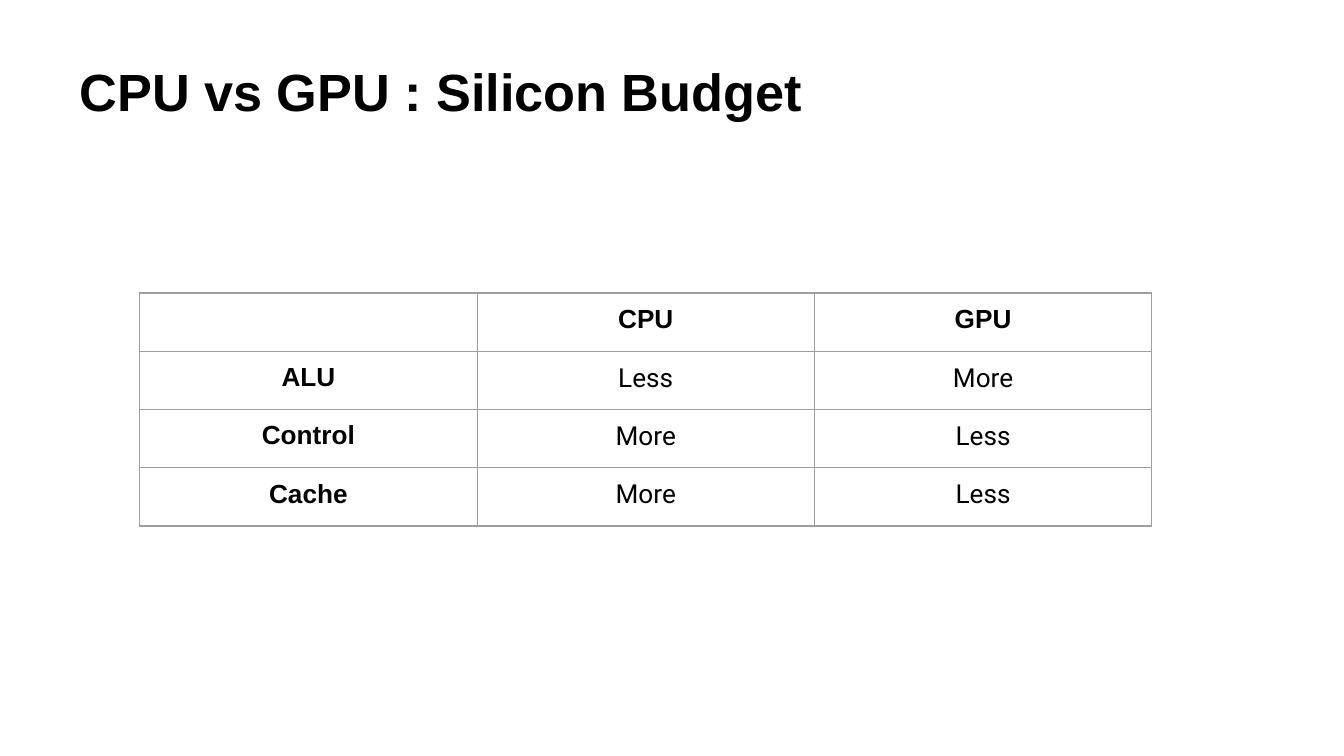
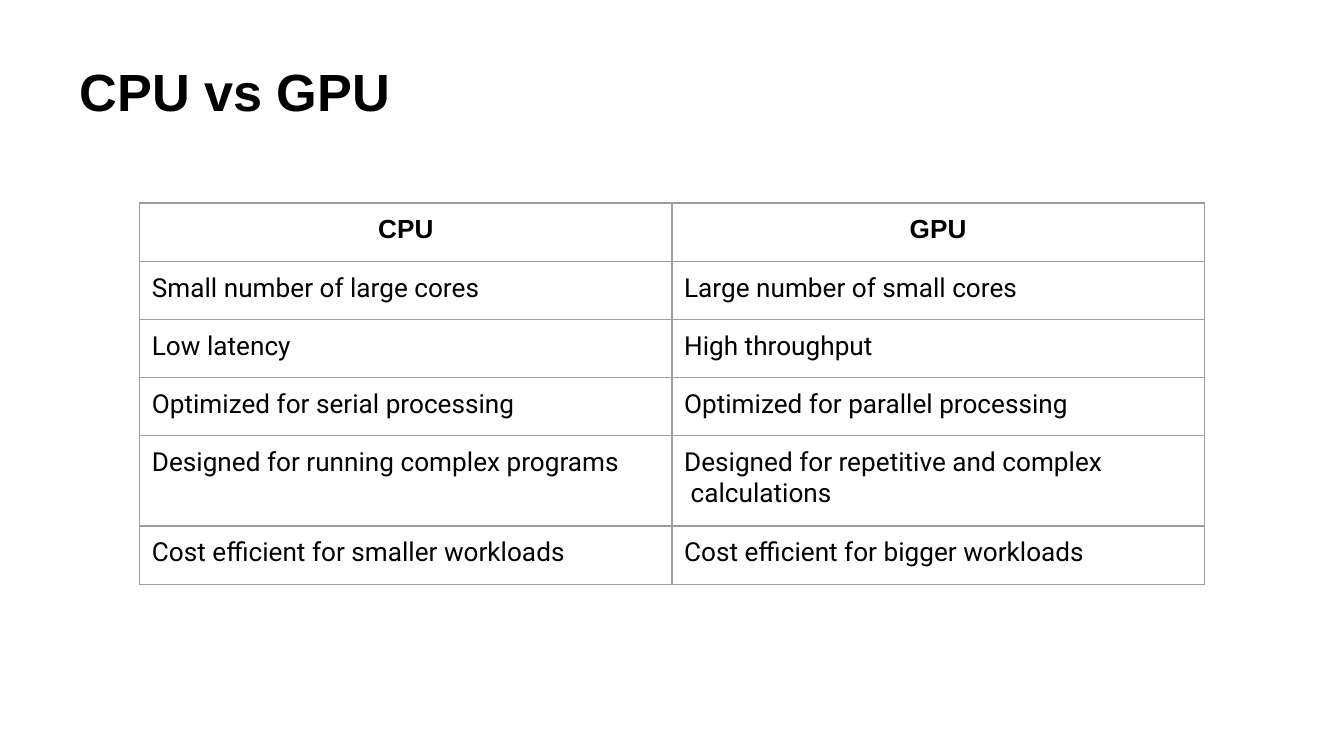
from dataclasses import dataclass

from lxml import etree
from pptx import Presentation
from pptx import util as u
from pptx.dml.color import RGBColor
from pptx.enum import text
from pptx.oxml import ns

PX = u.Inches(1) // 300

BLACK = RGBColor(0x00, 0x00, 0x00)
WHITE = RGBColor(0xFF, 0xFF, 0xFF)
GRID = RGBColor(0x9E, 0x9E, 0x9E)
HEAD_FONT = "Arial"
BODY_FONT = "Roboto"

TABLE_LEFT = 312
ROW_HEIGHT = 130
TALL_ROW_HEIGHT = 201
CELL_TOP = 26
CELL_INDENT = 27


@dataclass(frozen=True)
class Comparison:
    title: str
    title_width: int
    top: int
    col_width: int
    rows: tuple[tuple[str, ...], ...]
    row_labels: bool  # first column holds centred headings, and so is the body


COMPARISONS = (
    Comparison(
        "CPU vs GPU : Silicon Budget", 1620, 654, 753,
        (
            ("", "CPU", "GPU"),
            ("ALU", "Less", "More"),
            ("Control", "More", "Less"),
            ("Cache", "More", "Less"),
        ),
        row_labels=True,
    ),
    Comparison(
        "CPU vs GPU", 702, 453, 1188,
        (
            ("CPU", "GPU"),
            ("Small number of large cores", "Large number of small cores"),
            ("Low latency", "High throughput"),
            ("Optimized for serial processing", "Optimized for parallel processing"),
            ("Designed for running complex programs",
             "Designed for repetitive and complex\n calculations"),
            ("Cost efficient for smaller workloads", "Cost efficient for bigger workloads"),
        ),
        row_labels=False,
    ),
)


def px(n: int) -> u.Emu:
    return u.Emu(n * PX)


def style_paragraph(p, size: int, bold: bool, before: float) -> None:
    p.space_before = u.Pt(before)
    p.font.size = u.Pt(size)
    p.font.bold = bold
    p.font.name = HEAD_FONT if bold else BODY_FONT
    p.font.color.rgb = BLACK


def add_title(s, title: str, width: int) -> None:
    tf = s.shapes.add_textbox(px(174), px(129), px(width), px(147)).text_frame
    tf.word_wrap = True
    tf.margin_left = tf.margin_right = tf.margin_bottom = 0
    tf.margin_top = px(3)
    p = tf.paragraphs[0]
    p.text = title
    p._p.get_or_add_pPr().set("marL", str(px(4)))
    style_paragraph(p, 28, True, 1)


def add_borders(cell) -> None:
    """Draw the thin grid line on all four sides; the lines go before the fill."""
    tc_pr = cell._tc.get_or_add_tcPr()
    for i, side in enumerate(("lnL", "lnR", "lnT", "lnB")):
        ln = etree.Element(ns.qn(f"a:{side}"), w=str(u.Pt(0.75)))
        fill = etree.SubElement(ln, ns.qn("a:solidFill"))
        etree.SubElement(fill, ns.qn("a:srgbClr"), val=str(GRID))
        tc_pr.insert(i, ln)


def fill_cell(cell, words: str, heading: bool, centred: bool) -> None:
    cell.fill.background()
    add_borders(cell)
    cell.margin_left = cell.margin_right = cell.margin_bottom = 0
    cell.margin_top = px(CELL_TOP)
    p = cell.text_frame.paragraphs[0]
    p.text = words
    if centred:
        p.alignment = text.PP_ALIGN.CENTER
    else:
        p._p.get_or_add_pPr().set("marL", str(px(CELL_INDENT)))
    style_paragraph(p, 14, heading, 6.2)


def add_comparison_table(s, c: Comparison) -> None:
    n_rows, n_cols = len(c.rows), len(c.rows[0])
    heights = [TALL_ROW_HEIGHT if any("\n" in words for words in row) else ROW_HEIGHT
               for row in c.rows]
    table = s.shapes.add_table(n_rows, n_cols, px(TABLE_LEFT), px(c.top),
                               px(n_cols * c.col_width), px(sum(heights))).table
    table.first_row = table.horz_banding = False
    for col in table.columns:
        col.width = px(c.col_width)
    for i, row in enumerate(c.rows):
        table.rows[i].height = px(heights[i])
        for j, words in enumerate(row):
            heading = i == 0 or (c.row_labels and j == 0)
            fill_cell(table.cell(i, j), words, heading, heading or c.row_labels)


def main() -> None:
    prs = Presentation()
    prs.slide_width, prs.slide_height = px(3000), px(1687)
    for c in COMPARISONS:
        s = prs.slides.add_slide(prs.slide_layouts[6])
        s.background.fill.solid()
        s.background.fill.fore_color.rgb = WHITE
        add_title(s, c.title, c.title_width)
        add_comparison_table(s, c)
    prs.save("out.pptx")


if __name__ == "__main__":
    main()
